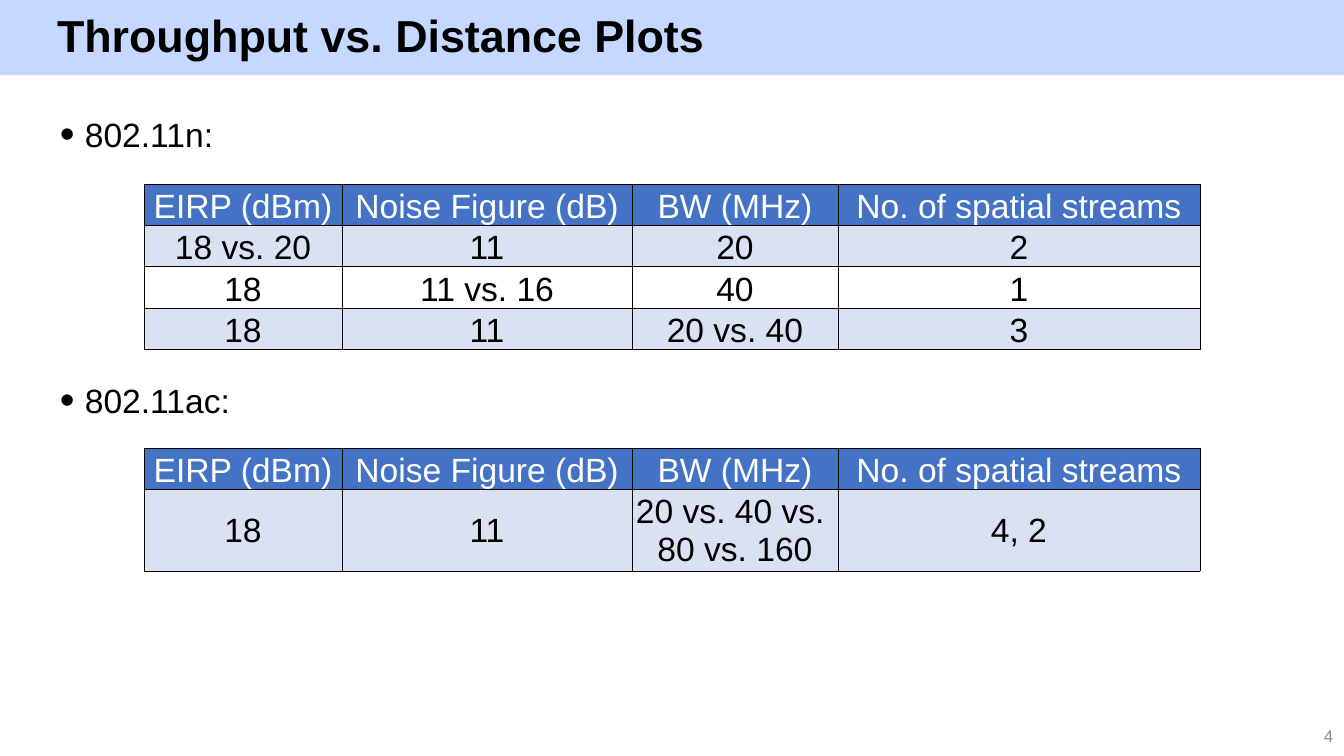
import pptx
import pptx.dml.color
import pptx.enum.shapes
import pptx.enum.text
import pptx.oxml
import pptx.oxml.ns
import pptx.util

SCALE = 914400 / 100.8
FONT = "Arial"
COLOURS = {
    "band": "C5D8FF",
    "ink": "000000",
    "header": "4472C4",
    "header_text": "FFFFFF",
    "stripe": "D9E1F2",
    "number": "8C8C8C",
}
ALIGN = pptx.enum.text.PP_ALIGN
ANCHOR = pptx.enum.text.MSO_ANCHOR
COLUMN_WIDTHS = [198, 290, 206, 362]
HEADINGS = ["EIRP (dBm)", "Noise Figure (dB)", "BW (MHz)", "No. of spatial streams"]
LINE_HEIGHT = 38
SECTIONS = [
    ("802.11n:", (50, 109, 1202, 48), (144, 184), ANCHOR.BOTTOM, [
        ["18 vs. 20", "11", "20", "2"],
        ["18", "11 vs. 16", "40", "1"],
        ["18", "11", "20 vs. 40", "3"],
    ]),
    ("802.11ac:", (50, 375, 1202, 48), (144, 448), ANCHOR.MIDDLE, [
        ["18", "11", "20 vs. 40 vs. \v80 vs. 160", "4, 2"],
    ]),
]


def px(length):
    return pptx.util.Emu(round(length * SCALE))


def colour(name):
    return pptx.dml.color.RGBColor.from_string(COLOURS[name])


def place(shape, box):
    shape.left, shape.top, shape.width, shape.height = map(px, box)


def format_runs(para, size, ink, bold=False):
    for span in para.runs:
        span.font.name = FONT
        span.font.size = pptx.util.Pt(size)
        span.font.bold = bold
        span.font.color.rgb = colour(ink)


def add_title(page, box, text):
    left, top, width, height = box
    title = page.shapes.title
    band = page.shapes.add_shape(pptx.enum.shapes.MSO_SHAPE.RECTANGLE, *map(px, box))
    band.shadow.inherit = False
    band.fill.solid()
    band.fill.fore_color.rgb = colour("band")
    band.line.fill.background()
    title._element.addprevious(band._element)
    place(title, (left + 33, top, width - 101, height))
    frame = title.text_frame
    frame.text = text
    frame.word_wrap = True
    frame.auto_size = pptx.enum.text.MSO_AUTO_SIZE.NONE
    frame.vertical_anchor = ANCHOR.MIDDLE
    frame.margin_left, frame.margin_right = px(24), px(20)
    frame.margin_top = frame.margin_bottom = px(5)
    para = frame.paragraphs[0]
    para.alignment = ALIGN.LEFT
    para.line_spacing = 0.9
    format_runs(para, 32, "ink", bold=True)


def add_bullet(page, box, text):
    frame = page.shapes.add_textbox(*map(px, box)).text_frame
    frame.word_wrap = True
    para = frame.paragraphs[0]
    para.text = text
    properties = para._p.get_or_add_pPr()
    properties.set("marL", str(px(25)))
    properties.set("indent", str(px(-25)))
    for tag, name, value in [("buSzPct", "val", "125000"), ("buFont", "typeface", FONT), ("buChar", "char", "•")]:
        pptx.oxml.ns.qn("a:" + tag)
        properties.append(pptx.oxml.parse_xml(
            f'<a:{tag} {pptx.oxml.ns.nsdecls("a")} {name}="{value}"/>'))
    format_runs(para, 24, "ink")


def add_borders(cell):
    properties = cell._tc.get_or_add_tcPr()
    for side in "LRTB":
        properties.append(pptx.oxml.parse_xml(
            f'<a:ln{side} {pptx.oxml.ns.nsdecls("a")} w="6350"><a:solidFill>'
            f'<a:srgbClr val="{COLOURS["ink"]}"/></a:solidFill></a:ln{side}>'))


def format_cell(cell, text, fill, ink, anchor):
    add_borders(cell)
    if fill:
        cell.fill.solid()
        cell.fill.fore_color.rgb = colour(fill)
    else:
        cell.fill.background()
    cell.margin_left = cell.margin_right = cell.margin_top = px(1)
    cell.margin_bottom = 0
    cell.vertical_anchor = anchor
    cell.text = text
    para = cell.text_frame.paragraphs[0]
    para.alignment = ALIGN.CENTER
    format_runs(para, 24, ink)


def add_settings_table(page, corner, anchor, rows):
    heights = [LINE_HEIGHT * (1 + max(text.count("\v") for text in row)) for row in [HEADINGS] + rows]
    size = (sum(COLUMN_WIDTHS), sum(heights))
    table = page.shapes.add_table(len(heights), len(COLUMN_WIDTHS), *map(px, corner + size)).table
    table.horz_banding = False
    for column, width in zip(table.columns, COLUMN_WIDTHS):
        column.width = px(width)
    for index, (row, height) in enumerate(zip([HEADINGS] + rows, heights)):
        table.rows[index].height = px(height)
        for position, text in enumerate(row):
            cell = table.cell(index, position)
            if index == 0:
                format_cell(cell, text, "header", "header_text", ANCHOR.BOTTOM)
            else:
                format_cell(cell, text, "stripe" if index % 2 else None, "ink", anchor)


def add_page_number(page, box, text):
    frame = page.shapes.add_textbox(*map(px, box)).text_frame
    frame.word_wrap = True
    frame.vertical_anchor = ANCHOR.MIDDLE
    para = frame.paragraphs[0]
    para.text = text
    para.alignment = ALIGN.RIGHT
    format_runs(para, 12, "number")


def main():
    deck = pptx.Presentation()
    deck.slide_width, deck.slide_height = px(1344), px(756)
    page = deck.slides.add_slide(deck.slide_layouts.get_by_name("Title Only"))
    add_title(page, (0, 0, 1344, 75), "Throughput vs. Distance Plots")
    for label, box, corner, anchor, rows in SECTIONS:
        add_bullet(page, box, label)
        add_settings_table(page, corner, anchor, rows)
    add_page_number(page, (1041, 716, 302, 40), "4")
    deck.save("out.pptx")


if __name__ == "__main__":
    main()
